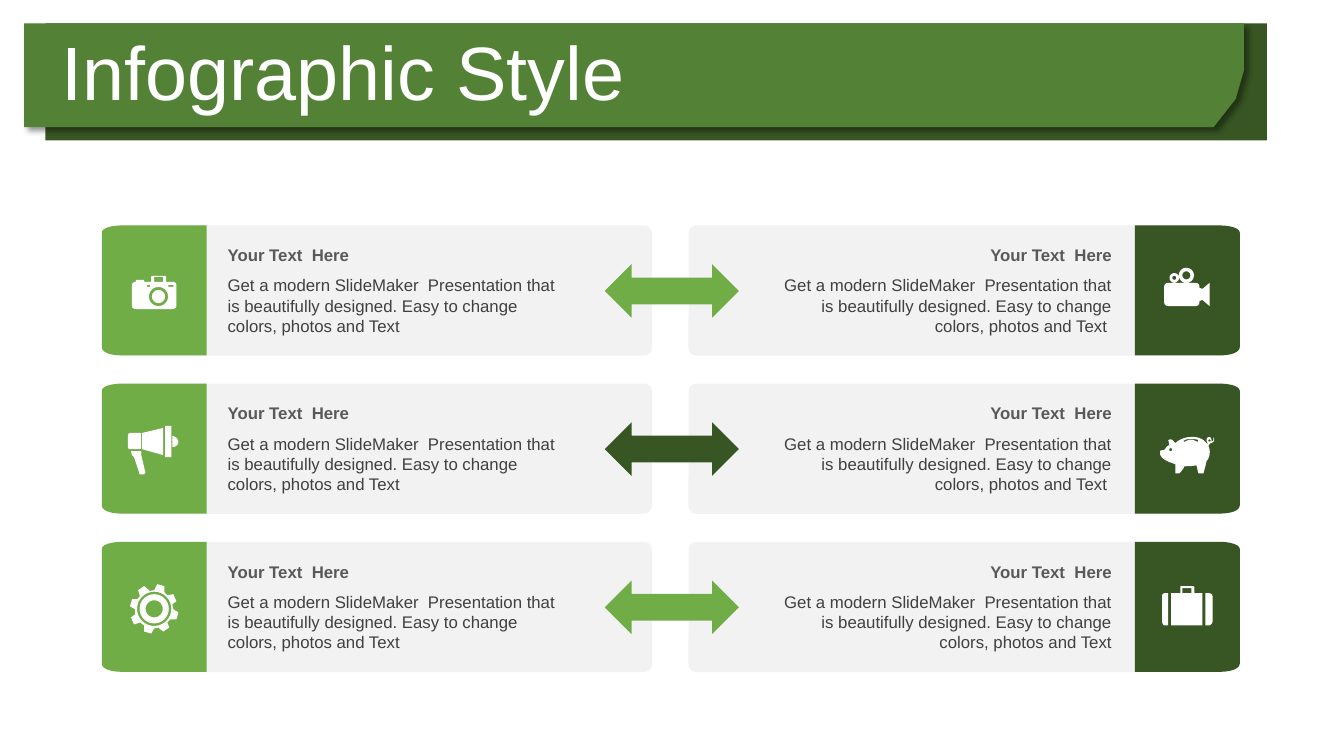
"""Build the "Infographic Style" slide: three rows of paired cards joined by arrows."""
import math

from lxml import etree
from pptx import Presentation
from pptx import util as u
from pptx.dml.color import RGBColor
from pptx.enum import shapes, text
from pptx.oxml.ns import qn

TITLE = "Infographic Style"
HEADING = "Your Text  Here"
BODY = ("Get a modern SlideMaker  Presentation that is beautifully designed. "
        "Easy to change colors, photos and Text")
COLORS = {"light": "70AD47", "mid": "538135", "dark": "375623", "panel": "F2F2F2",
          "heading": "595959", "body": "404040", "white": "FFFFFF", "shadow": "000000"}

# M/L/C as in vector paths, O = circle (cx cy r), R = rectangle (x y w h)
BANNER = "M 0 0 L 1210 0 1210 47 1202 75 1180 103 0 103"
TAB = "M 0 121 L 0 7 C 0 3 9 0 20 0 L 104 0 104 129 20 129 C 9 129 0 126 0 121"
CAMERA = """O 56.3 70.6 6.5 O 56.3 70.6 9.5 R 45 59 3 2 R 66 59 5 2 R 52 51 9 5
    M 50 50 L 63 50 64 51 64 56 70 56 C 72 56 74 57 74 59 L 74 80 C 74 82 72 83 70 83
    L 34 83 C 32 83 30 82 30 80 L 30 59 C 30 57 32 56 34 56 L 34 54 42 54 42 56 49 56 49 51"""
FILM_CAMERA = """O 39 52 2 O 39 52 4.7 O 51 49.5 4 O 51 49.5 7.5
    M 33 57 L 60 57 C 62 57 64 58 64 61 L 64 62 67 63 74 57 74 80 67 74 64 75 64 76
    C 64 79 62 80 60 80 L 33 80 C 31 80 29 79 29 76 L 29 61 C 29 58 31 57 33 57"""
MEGAPHONE = """M 39 67 L 39 68 C 40 69 39 70 39 70 L 43 87 C 44 88 43 89 42 90 L 39 90
    C 38 90 37 90 37 88 L 32 73 C 31 72 31 72 30 71 L 29 67
    M 70 52 C 73 52 76 55 76 58 C 76 61 73 63 70 63
    M 28 49 L 39 49 39 65 28 65 C 27 65 26 64 26 63 L 26 52 C 26 50 27 49 28 49
    M 61 44 L 61 71 40 65 40 49 R 63 42 6 31"""
PIG = """O 35.5 65.5 1.5 O 74 56.5 1.2
    M 55 55 C 53 55 50 55 48 57 L 49 58 C 53 55 58 55 62 58 L 63 56 C 61 55 58 55 55 55
    M 55 53 C 61 52 68 55 70 58 L 72 60 72 59 C 72 58 71 58 71 56 C 71 54 72 53 74 53
    C 75 53 76 55 76 56 L 76 57 C 77 57 78 58 78 53 C 80 57 77 59 75 59 C 74 60 73 61 73 62
    L 74 65 C 75 70 73 75 71 77 C 70 82 69 85 68 89 L 63 89 C 62 86 62 84 61 81
    C 57 82 52 82 49 82 C 48 85 46 87 44 89 L 40 89 40 80 C 35 78 23 75 25 67
    C 25 66 28 66 29 66 C 31 64 31 62 34 61 C 34 59 33 56 33 56 C 37 54 38 57 40 59
    C 44 55 51 53 55 53"""
GEAR = """O 52 66.5 8.5 O 52 66.5 14.5 O 52 66.5 17
    M 62 44 L 62 50 65 53 71 52 74 59 70 62 71 67 76 70 74 77 68 77 65 80 67 85 61 89
    57 86 57 85 52 86 49 91 42 89 42 83 38 80 32 82 29 75 33 72 33 67 28 64 30 57 35 57
    38 54 36 48 42 44 47 48 47 49 52 48 55 42"""
SUITCASE = """M 70 51 L 73 51 C 75 51 77 52 77 54 L 77 79 C 77 81 75 83 73 83 L 70 83
    M 30 51 L 33 51 33 83 30 83 C 28 83 27 81 27 79 L 27 54 C 27 52 28 51 30 51
    R 47 46 9 5 M 47 44 L 57 44 C 58 44 59 44 59 46 L 59 51 67 51 67 83 36 83 36 51 45 51
    45 46 C 45 44 45 44 47 44"""

ROWS = [(CAMERA, FILM_CAMERA, "light", BODY + " "),
        (MEGAPHONE, PIG, "dark", BODY + " "),
        (GEAR, SUITCASE, "light", BODY)]
SIDES = [dict(panel=80.6, tab=72.7, text=155.5, width=255.6, fill="light",
              align=text.PP_ALIGN.LEFT, mirror=False),
         dict(panel=491.8, tab=810.7, text=548.6, width=252.7, fill="dark",
              align=text.PP_ALIGN.RIGHT, mirror=True)]
TOP, PITCH, CARD_W, CARD_H, TAB_UNITS = 161, 113, 385.2, 93, 104
UNIT = u.Pt(0.72)

prs = Presentation()
prs.slide_width, prs.slide_height = u.Pt(960), u.Pt(540)
s = prs.slides.add_slide(prs.slide_layouts[5])


def rgb(name):
    return RGBColor.from_string(COLORS[name])


def paint(sp, color):
    sp.shadow.inherit = False
    sp.fill.solid()
    sp.fill.fore_color.rgb = rgb(color)
    sp.line.fill.background()
    return sp


def block(kind, x, y, w, h, color):
    return paint(s.shapes.add_shape(kind, *map(u.Pt, (x, y, w, h))), color)


def bezier(p0, p1, p2, p3, steps=6):
    for i in range(1, steps + 1):
        t = i / steps
        weights = (1 - t) ** 3, 3 * t * (1 - t) ** 2, 3 * t * t * (1 - t), t ** 3
        yield tuple(sum(k * p[axis] for k, p in zip(weights, (p0, p1, p2, p3)))
                    for axis in (0, 1))


def contours(outline):
    commands = []
    for token in outline.split():
        if token.isalpha():
            commands.append((token, []))
        else:
            commands[-1][1].append(float(token))
    result = []
    for op, n in commands:
        points = list(zip(n[::2], n[1::2]))
        if op == "M":
            result.append(points)
        elif op == "L":
            result[-1].extend(points)
        elif op == "C":
            result[-1].extend(bezier(result[-1][-1], *points))
        elif op == "O":
            cx, cy, radius = n
            angles = [math.tau * i / 32 for i in range(32)]
            result.append([(cx + radius * math.cos(a), cy + radius * math.sin(a)) for a in angles])
        else:
            x, y, w, h = n
            result.append([(x, y), (x + w, y), (x + w, y + h), (x, y + h)])
    return result


def outline_shape(outline, x, y, color, mirror=False):
    fb = None
    for points in contours(outline):
        points = [((TAB_UNITS - px if mirror else px) * UNIT, py * UNIT) for px, py in points]
        if fb is None:
            fb = s.shapes.build_freeform(*points[0], scale=1.0)
        else:
            fb.move_to(*points[0])
        fb.add_line_segments(points[1:], close=True)
    return paint(fb.convert_to_shape(u.Pt(x), u.Pt(y)), color)


def write(tf, content, align, size, color, bold=False):
    tf.word_wrap = True
    p = tf.paragraphs[0]
    p.alignment = align
    r = p.add_run()
    r.text = content
    for key, value in dict(name="Arial", size=u.Pt(size), bold=bold).items():
        setattr(r.font, key, value)
    r.font.color.rgb = rgb(color)
    return p


def label(content, x, y, w, h, align, color, bold=False):
    tf = s.shapes.add_textbox(*map(u.Pt, (x, y, w, h))).text_frame
    write(tf, content, align, 12, color, bold)
    tf.auto_size = text.MSO_AUTO_SIZE.SHAPE_TO_FIT_TEXT


def add_banner():
    block(shapes.MSO_SHAPE.RECTANGLE, 32.4, 16.7, 872.6, 83.6, "dark")
    sp = outline_shape(BANNER, 17.3, 16.7, "mid")
    effects = sp.element.spPr.find(qn("a:effectLst"))
    shadow = etree.SubElement(effects, qn("a:outerShdw"), blurRad=str(u.Pt(4)),
                              dist=str(u.Pt(3)), dir="2700000", algn="tl", rotWithShape="0")
    color = etree.SubElement(shadow, qn("a:srgbClr"), val=COLORS["shadow"])
    etree.SubElement(color, qn("a:alpha"), val="40000")

    title = s.shapes.title
    for key, value in dict(left=36.7, top=25.9, width=790.6, height=56.9).items():
        setattr(title, key, u.Pt(value))
    tf = title.text_frame
    tf.vertical_anchor = text.MSO_ANCHOR.MIDDLE
    tf.auto_size = text.MSO_AUTO_SIZE.NONE
    write(tf, TITLE, text.PP_ALIGN.LEFT, 54, "white").line_spacing = 0.9
    title.element.getparent().append(title.element)


add_banner()
for i, (left_icon, right_icon, arrow_color, right_body) in enumerate(ROWS):
    y = TOP + i * PITCH
    for side, icon, body in zip(SIDES, (left_icon, right_icon), (BODY, right_body)):
        panel = block(shapes.MSO_SHAPE.ROUNDED_RECTANGLE, side["panel"], y, CARD_W, CARD_H, "panel")
        panel.adjustments[0] = 0.06
        outline_shape(TAB, side["tab"], y, side["fill"], side["mirror"])
        outline_shape(icon, side["tab"], y, "white")
        label(HEADING, side["text"], y + 10.4, side["width"], 21.6, side["align"], "heading", True)
        label(body, side["text"], y + 32, side["width"], 51, side["align"], "body")
    block(shapes.MSO_SHAPE.LEFT_RIGHT_ARROW, 432, y + 27.7, 95.8, 38.2, arrow_color)

prs.save("out.pptx")
